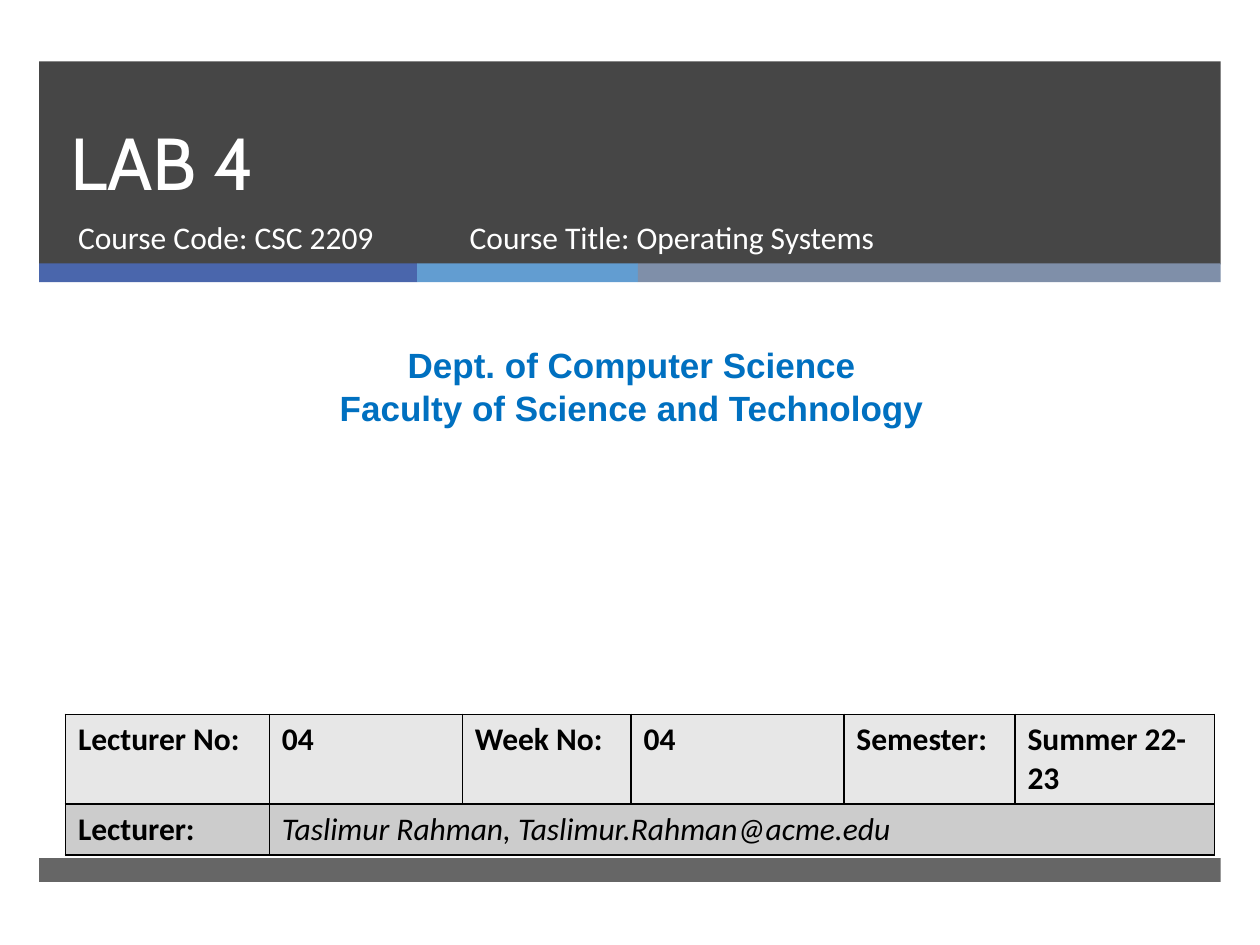
from lxml import etree
from pptx import Presentation
from pptx.dml.color import RGBColor
from pptx.enum.shapes import MSO_SHAPE
from pptx.enum.text import MSO_ANCHOR, MSO_AUTO_SIZE, PP_ALIGN
from pptx.oxml import parse_xml
from pptx.oxml.ns import qn
from pptx.util import Cm, Pt

RECTANGLE = MSO_SHAPE.RECTANGLE
TOP, BOTTOM = MSO_ANCHOR.TOP, MSO_ANCHOR.BOTTOM
LEFT, CENTER = PP_ALIGN.LEFT, PP_ALIGN.CENTER
NO_AUTOFIT = MSO_AUTO_SIZE.NONE
NAMESPACE = "http://schemas.openxmlformats.org/drawingml/2006/main"


def color(value):
    return RGBColor.from_string(value)


def write(frame, lines, font, hex_color, alignment=LEFT):
    frame.text = "\n".join(lines)
    frame.word_wrap = True
    for paragraph in frame.paragraphs:
        paragraph.alignment = alignment
        paragraph.space_before = Pt(0)
        for run in paragraph.runs:
            run.font.color.rgb = color(hex_color)
            for name, value in font.items():
                setattr(run.font, name, value)


presentation = Presentation()
presentation.slide_width = Cm(25.4)
presentation.slide_height = Cm(19.05)
slide = presentation.slides.add_slide(presentation.slide_layouts[0])
title, subtitle = slide.placeholders

band_left = 0.79
bands = [
    (band_left, 1.24, 23.82, 4.09, "262626", 85),
    (band_left, 17.3, 23.82, 0.48, "262626", 70),
]
strip_left = band_left
for width, fill in [(7.62, "4A66AC"), (4.45, "629DD1"), (11.75, "7F8FA9")]:
    bands.append((strip_left, 5.31, width, 0.38, fill, 100))
    strip_left += width

for left, top, width, height, fill, opacity in bands:
    shape = slide.shapes.add_shape(RECTANGLE, Cm(left), Cm(top), Cm(width), Cm(height))
    shape.shadow.inherit = False
    shape.fill.solid()
    shape.fill.fore_color.rgb = color(fill)
    shape.line.fill.background()
    if opacity < 100:
        fill_color = shape.fill._xPr.find(qn("a:solidFill"))[0]
        etree.SubElement(fill_color, qn("a:alpha")).set("val", str(opacity * 1000))
    slide.shapes._spTree.remove(shape._element)
    title._element.addprevious(shape._element)

course_font = {"name": "Calibri", "size": Pt(18)}
course_title = slide.shapes.add_textbox(0, 0, 0, 0)
department = slide.shapes.add_textbox(0, 0, 0, 0)
texts = [
    (title, (1.17, 1.24, 21.69, 3.02), ["LAB 4"],
     {"name": "Cabin", "size": Pt(42)}, "FFFFFF", LEFT, BOTTOM),
    (subtitle, (1.32, 4.27, 7.75, 1.35), ["Course Code: CSC 2209"],
     course_font, "FFFFFF", LEFT, TOP),
    (course_title, (9.22, 4.27, 11.56, 1.35), ["Course Title: Operating Systems"],
     course_font, "FFFFFF", LEFT, TOP),
    (department, (0.2, 6.81, 25.07, 1.96),
     ["Dept. of Computer Science", "Faculty of Science and Technology"],
     {"name": "Arial", "size": Pt(20), "bold": True}, "0070C0", CENTER, TOP),
]
for shape, box, lines, font, hex_color, alignment, anchor in texts:
    for name, value in zip(("left", "top", "width", "height"), box):
        setattr(shape, name, Cm(value))
    frame = shape.text_frame
    write(frame, lines, font, hex_color, alignment)
    frame.auto_size = NO_AUTOFIT
    frame.vertical_anchor = anchor
title.text_frame.paragraphs[0].line_spacing = Pt(46)

column_widths = [4.11, 3.89, 3.4, 4.29, 3.45, 4.02]
row_height = 1.03
rows = [
    ["Lecturer No:", "04", "Week No:", "04", "Semester:", "Summer 22-23"],
    ["Lecturer:", "Taslimur Rahman, Taslimur.Rahman@acme.edu"],
]
table = slide.shapes.add_table(
    len(rows), len(column_widths), Cm(1.32), Cm(14.4),
    Cm(sum(column_widths)), Cm(row_height * len(rows))).table
for column, width in zip(table.columns, column_widths):
    column.width = Cm(width)
table.cell(1, 1).merge(table.cell(1, 5))

for row_index, (row_texts, fill) in enumerate(zip(rows, ("E7E7E7", "CCCCCC"))):
    table.rows[row_index].height = Cm(row_height)
    for column_index in range(len(column_widths)):
        cell = table.cell(row_index, column_index)
        if column_index < len(row_texts):
            is_name = row_index == 1 and column_index == 1
            font = {**course_font, "bold": not is_name, "italic": is_name}
            write(cell.text_frame, [row_texts[column_index]], font, "000000")
        properties = cell._tc.get_or_add_tcPr()
        for side in ("lnL", "lnR", "lnT", "lnB"):
            properties.append(parse_xml(
                f'<a:{side} xmlns:a="{NAMESPACE}" w="12700"><a:solidFill>'
                f'<a:srgbClr val="000000"/></a:solidFill></a:{side}>'))
        cell.fill.solid()
        cell.fill.fore_color.rgb = color(fill)

presentation.save("out.pptx")
